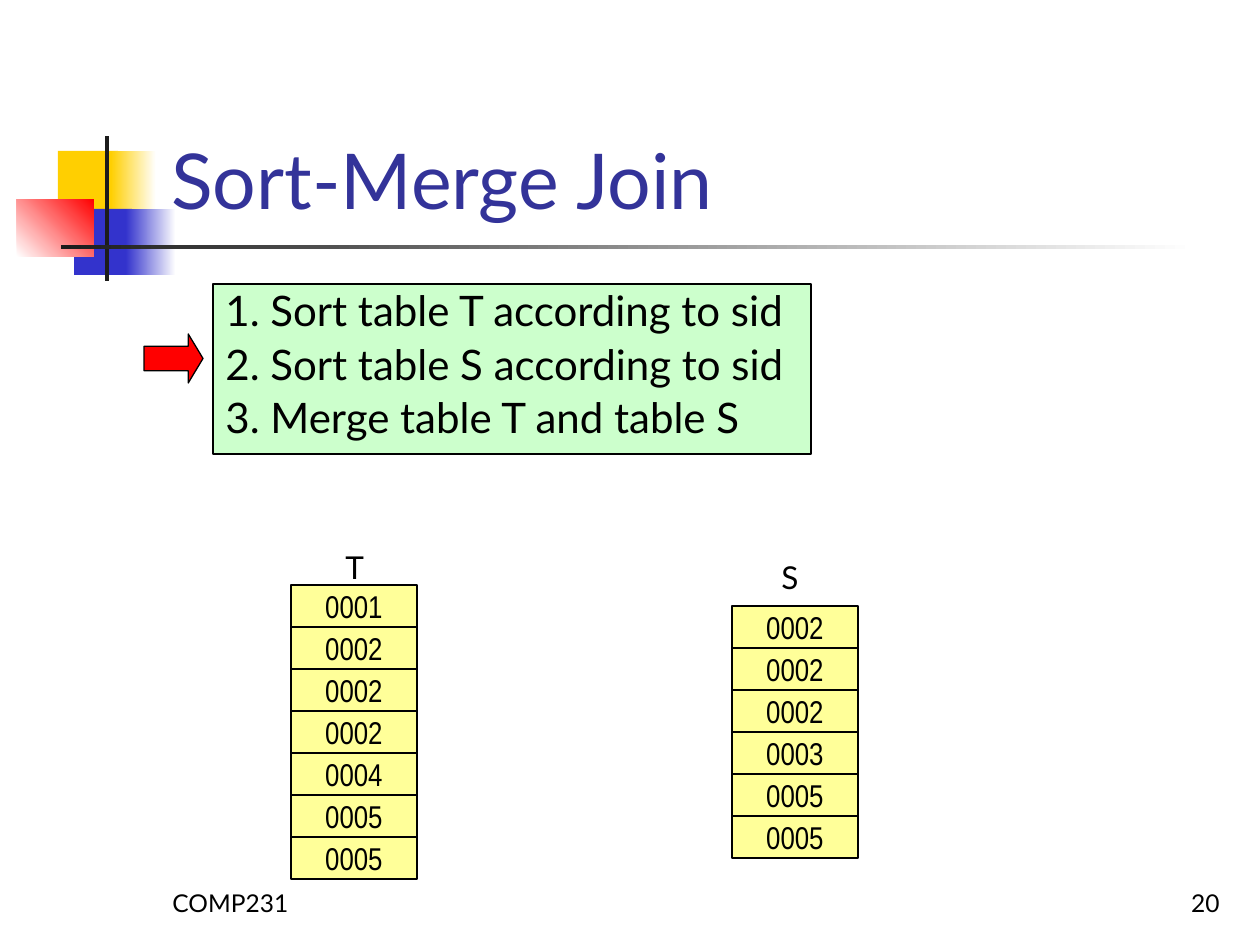
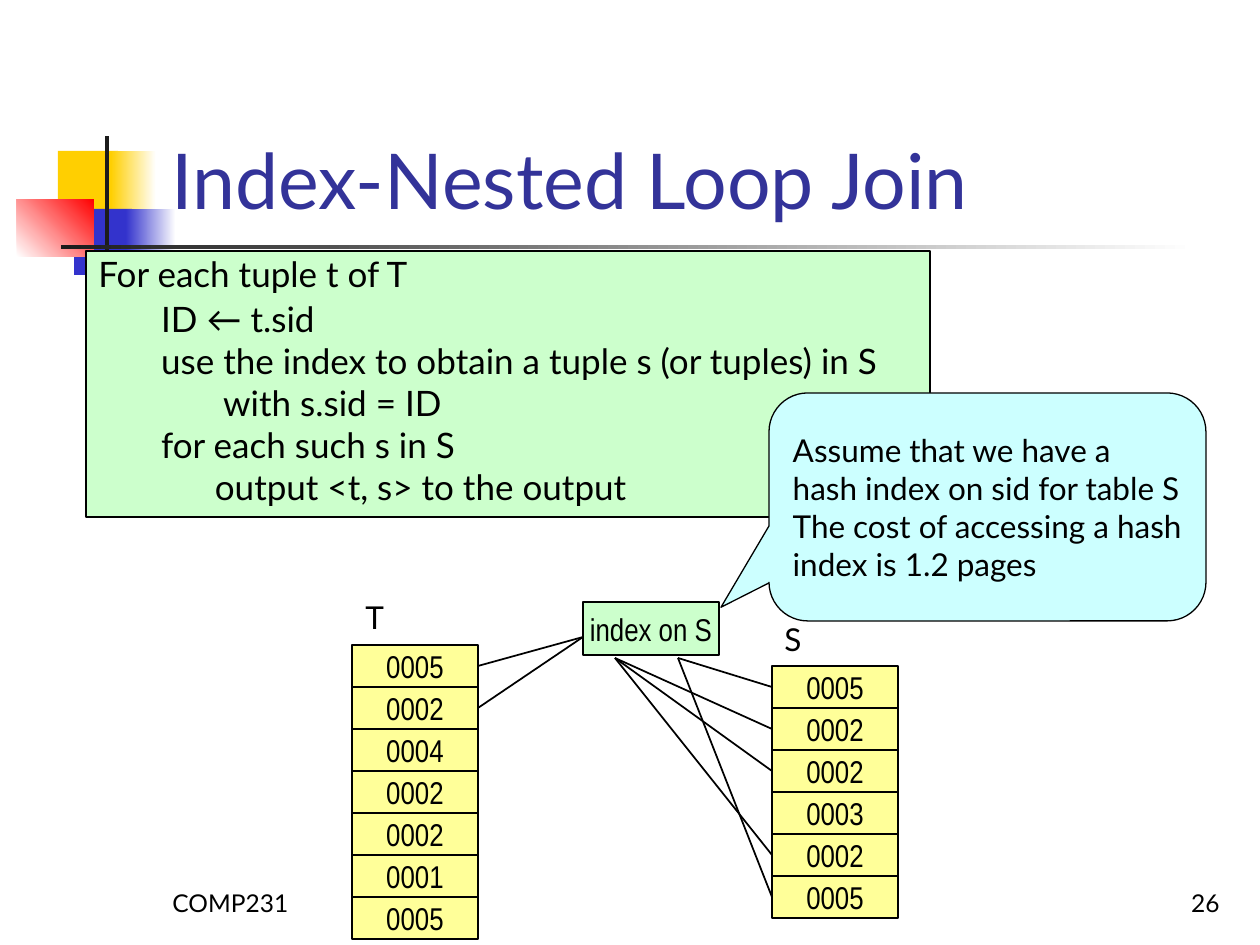
from lxml import etree
from pptx import Presentation
from pptx.dml.color import RGBColor
from pptx.enum.shapes import MSO_CONNECTOR, MSO_SHAPE
from pptx.enum.text import MSO_ANCHOR, PP_ALIGN
from pptx.oxml.ns import qn
from pptx.util import Emu, Pt

RECTANGLE = MSO_SHAPE.RECTANGLE
ARROW = MSO_SHAPE.RIGHT_ARROW
CALLOUT = MSO_SHAPE.ROUNDED_RECTANGULAR_CALLOUT
STRAIGHT = MSO_CONNECTOR.STRAIGHT
TOP, MIDDLE, BOTTOM = MSO_ANCHOR.TOP, MSO_ANCHOR.MIDDLE, MSO_ANCHOR.BOTTOM
LEFT, CENTER, RIGHT = PP_ALIGN.LEFT, PP_ALIGN.CENTER, PP_ALIGN.RIGHT
LEFT_SIDE, RIGHT_SIDE = 1, 3

EMU_PER_PX = 914400 / 126
SLIDE_SIZE = (1260, 945)
BODY_FONT, CELL_FONT = "Lato", "Arial Narrow"
BLACK, WHITE, TITLE_BLUE = "000000", "FFFFFF", "333399"
GREEN, YELLOW, CYAN, RED = "CCFFCC", "FFFF99", "CCFFFF", "FF0000"
GOLD, BLUE, CHARCOAL = "FFCF01", "3333CC", "1C1C1C"
CELL_WIDTH, CELL_HEIGHT = 126, 42

# (left, top, width, height), colours, gradient angle
DECORATION = [
    ((58, 151, 60, 66), [GOLD], 0),
    ((111, 151, 45, 66), [GOLD, WHITE], 0),
    ((74, 209, 58, 66), [BLUE], 0),
    ((126, 209, 50, 66), [BLUE, WHITE], 0),
    ((17, 199, 77, 58), [WHITE, RED], 45),
    ((105, 136, 4, 145), [CHARCOAL], 0),
    ((61, 245, 1134, 4), [CHARCOAL, WHITE], 0),
]
COURSE = "COMP231"

SORT_MERGE = {
    "title": "Sort-Merge Join",
    "number": "20",
    "steps": [
        "1. Sort table T according to sid",
        "2. Sort table S according to sid",
        "3. Merge table T and table S",
    ],
    "columns": [
        ("T", (333, 542), (291, 585),
         ["0001", "0002", "0002", "0002", "0004", "0005", "0005"]),
        ("S", (769, 552), (732, 606),
         ["0002", "0002", "0002", "0003", "0005", "0005"]),
    ],
}
INDEX_LOOP = {
    "title": "Index-Nested Loop Join",
    "number": "26",
    "steps": [
        "For each tuple t of T",
        "       ID ← t.sid",
        "       use the index to obtain a tuple s (or tuples) in S",
        "              with s.sid = ID",
        "       for each such s in S",
        "             output <t, s> to the output",
    ],
    "columns": [
        ("T", (353, 592), (352, 645),
         ["0005", "0002", "0004", "0002", "0002", "0001", "0005"]),
        ("S", (772, 614), (772, 666),
         ["0005", "0002", "0002", "0003", "0002", "0005"]),
    ],
    "index": "index on S",
    "callout": [
        "Assume that we have a hash index on sid for table S",
        "The cost of accessing a hash index is 1.2 pages",
    ],
}
# Points on the index box, with the table rows each one leads to
INDEX_ENTRY, ENTRY_ROWS = (583, 637), [0, 1]
INDEX_EXITS = [((678, 658), [0, 5]), ((615, 658), [1, 2, 4])]


def px(*lengths):
    return [Emu(round(length * EMU_PER_PX)) for length in lengths]


def color(hex_string):
    return RGBColor.from_string(hex_string)


def write(shape, paragraphs, size=18, font=BODY_FONT, font_color=BLACK, align=LEFT,
          anchor=TOP, wrap=True, line_spacing=1.0, gap=0, spaced_lines=None):
    """Fill a shape with text; line_spacing and gap reach the first spaced_lines."""
    frame = shape.text_frame
    frame.word_wrap = wrap
    frame.vertical_anchor = anchor
    for number, text in enumerate(paragraphs):
        paragraph = frame.paragraphs[0] if number == 0 else frame.add_paragraph()
        paragraph.text = text
        paragraph.alignment = align
        paragraph.font.size = Pt(size)
        paragraph.font.name = font
        paragraph.font.color.rgb = color(font_color)
        if spaced_lines is None or number < spaced_lines:
            paragraph.line_spacing = line_spacing
            if number > 0:
                paragraph.space_before = Pt(gap)


def add_text(slide, box, paragraphs, **text_format):
    write(slide.shapes.add_textbox(*px(*box)), paragraphs, **text_format)


def add_shape(slide, kind, box, colors, angle=0, line=None, adjustments=()):
    """Draw a preset shape; two colours make a gradient, line is a width in points."""
    shape = slide.shapes.add_shape(kind, *px(*box))
    shape.shadow.inherit = False
    for number, value in enumerate(adjustments):
        shape.adjustments[number] = value
    if len(colors) == 1:
        shape.fill.solid()
        shape.fill.fore_color.rgb = color(colors[0])
    else:
        shape.fill.gradient()
        shape.fill.gradient_angle = angle
        for stop, stop_color in zip(shape.fill.gradient_stops, colors):
            stop.color.rgb = color(stop_color)
    if line is None:
        shape.line.fill.background()
    else:
        shape.line.color.rgb = color(BLACK)
        shape.line.width = Pt(line)
    return shape


def add_cell(slide, box, text, fill=YELLOW):
    cell = add_shape(slide, RECTANGLE, box, [fill], line=1)
    write(cell, [text], font=CELL_FONT, align=CENTER, anchor=MIDDLE, wrap=False)
    return cell


def add_columns(slide, columns):
    """Draw the labelled columns and return their cells by label."""
    cells = {}
    for label, label_at, (left, top), values in columns:
        add_text(slide, (*label_at, 44, 50), [label])
        cells[label] = [
            add_cell(slide, (left, top + row * CELL_HEIGHT, CELL_WIDTH, CELL_HEIGHT), value)
            for row, value in enumerate(values)
        ]
    return cells


def link(slide, cell, side, point):
    """Join the middle of a cell's side to a point."""
    connector = slide.shapes.add_connector(STRAIGHT, *px(*point, *point))
    connector.begin_connect(cell, side)
    connector.line.color.rgb = color(BLACK)
    connector.line.width = Pt(1)
    etree.SubElement(connector._element.spPr, qn("a:effectLst"))


def add_steps(slide, box, steps, **text_format):
    panel = add_shape(slide, RECTANGLE, box, [GREEN], line=0.75)
    write(panel, steps, line_spacing=0.9, **text_format)


def start_slide(presentation, content):
    slide = presentation.slides.add_slide(presentation.slide_layouts[6])
    for box, colors, angle in DECORATION:
        add_shape(slide, RECTANGLE, box, colors, angle)
    add_text(slide, (160, 861, 262, 63), [COURSE], size=14, anchor=BOTTOM)
    add_text(slide, (970, 861, 262, 63), [content["number"]], size=14,
             align=RIGHT, anchor=BOTTOM)
    add_text(slide, (159, 29, 1074, 202), [content["title"]], size=44,
             font_color=TITLE_BLUE, anchor=BOTTOM)
    return slide


def build_sort_merge(presentation):
    slide = start_slide(presentation, SORT_MERGE)
    add_steps(slide, (213, 284, 598, 170), SORT_MERGE["steps"], size=24, gap=4.8)
    add_shape(slide, ARROW, (144, 334, 59, 49), [RED], line=0.75, adjustments=(0.5, 0.3))
    add_columns(slide, SORT_MERGE["columns"])


def build_index_loop(presentation):
    slide = start_slide(presentation, INDEX_LOOP)
    cells = add_columns(slide, INDEX_LOOP["columns"])
    add_cell(slide, (583, 602, 136, 53), INDEX_LOOP["index"], fill=GREEN)
    for row in ENTRY_ROWS:
        link(slide, cells["T"][row], RIGHT_SIDE, INDEX_ENTRY)
    for index_exit, rows in INDEX_EXITS:
        for row in rows:
            link(slide, cells["S"][row], LEFT_SIDE, index_exit)
    add_steps(slide, (86, 251, 844, 266), INDEX_LOOP["steps"], size=20, gap=4,
              spaced_lines=2)
    callout = add_shape(slide, CALLOUT, (769, 393, 437, 228), [CYAN], line=0.75,
                        adjustments=(-0.61, 0.44, 0.17))
    write(callout, INDEX_LOOP["callout"], anchor=MIDDLE)


def main():
    presentation = Presentation()
    presentation.slide_width, presentation.slide_height = px(*SLIDE_SIZE)
    build_sort_merge(presentation)
    build_index_loop(presentation)
    presentation.save("out.pptx")


if __name__ == "__main__":
    main()
